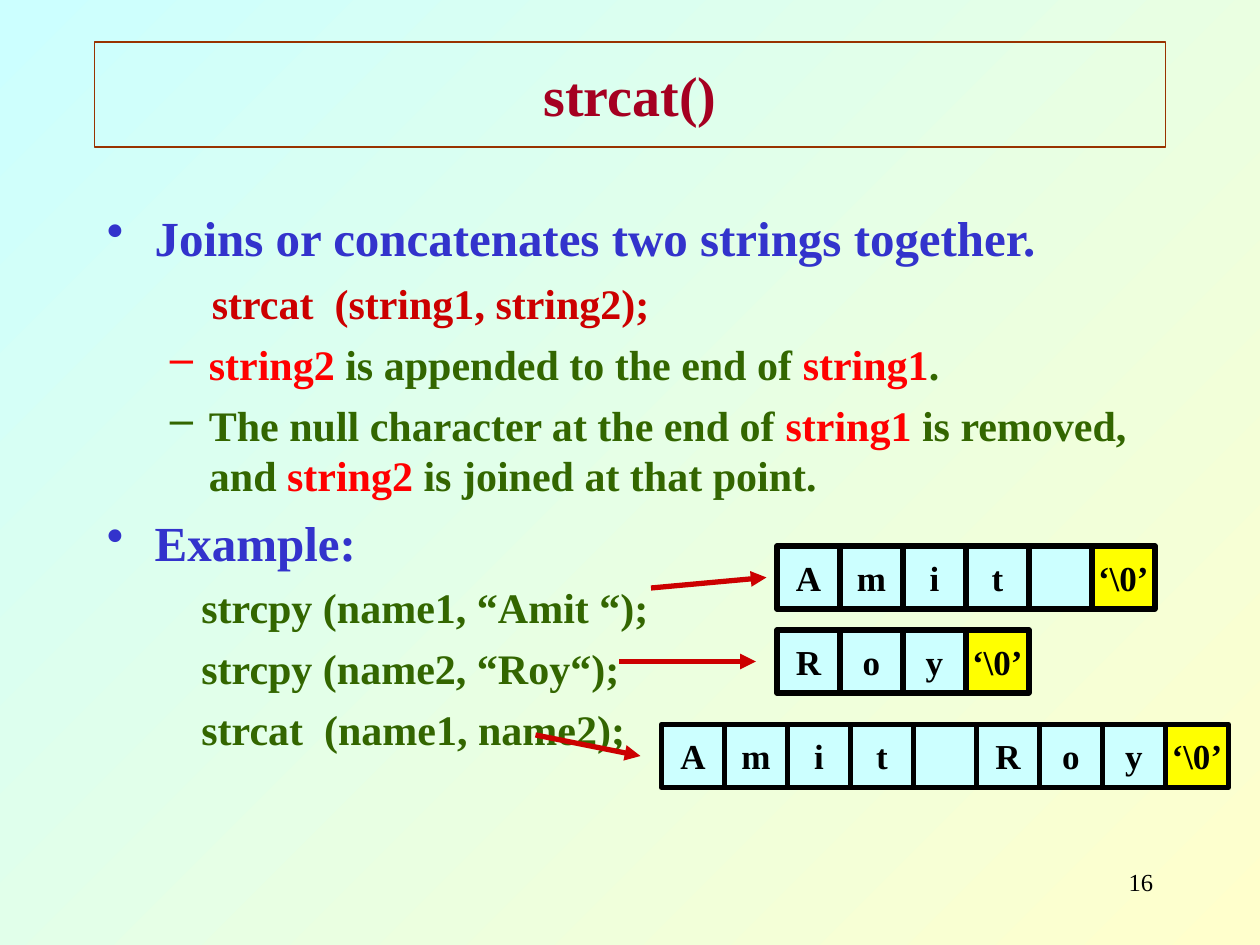
from dataclasses import dataclass

from lxml import etree
from pptx import Presentation
from pptx.dml.color import RGBColor
from pptx.enum.shapes import MSO_CONNECTOR, MSO_SHAPE
from pptx.enum.text import MSO_ANCHOR, PP_ALIGN
from pptx.oxml.ns import qn
from pptx.util import Inches, Pt

RECT = MSO_SHAPE.RECTANGLE
STRAIGHT = MSO_CONNECTOR.STRAIGHT
MIDDLE = MSO_ANCHOR.MIDDLE
CENTER, RIGHT = PP_ALIGN.CENTER, PP_ALIGN.RIGHT
TITLE_ONLY = 5
CELL = 6
NULL = "‘\\0’"


@dataclass(frozen=True)
class Theme:
    """Font, colours and type sizes of the slide."""
    font: str = "Times New Roman"
    title: str = "A50021"
    frame: str = "993300"
    heading: str = "3333CC"
    body: str = "336600"
    key: str = "FF0000"
    accent: str = "CC0000"
    ink: str = "000000"
    cell: str = "CCFFFF"
    null: str = "FFFF00"
    back: tuple = ("FFFFCC", "CCFFFF")
    title_size: int = 32
    heading_size: int = 28
    body_size: int = 24
    cell_size: int = 20
    number_size: int = 14


T = Theme()


def rgb(value):
    """Turn a hex string into a colour."""
    return RGBColor.from_string(value)


def grid(*units):
    """Convert grid units, 120 columns by 90 rows, to lengths."""
    return [Inches(u / 12) for u in units]


def style(font, size, color, bold=True):
    """Format one font."""
    font.name, font.size, font.bold = T.font, Pt(size), bold
    font.color.rgb = rgb(color)


def outline(shape, color, width):
    """Give a shape or connector a solid line."""
    shape.line.color.rgb = rgb(color)
    shape.line.width = Pt(width)


def set_indent(p, left, hanging, mark, color):
    """Set a hanging indent and, if there is a mark, its coloured bullet."""
    pPr = p._p.get_or_add_pPr()
    pPr.set("marL", str(Inches(left)))
    pPr.set("indent", str(-Inches(hanging)))
    if mark:
        clr = etree.SubElement(pPr, qn("a:buClr"))
        etree.SubElement(clr, qn("a:srgbClr")).set("val", color)
        etree.SubElement(pPr, qn("a:buChar")).set("char", mark)
    else:
        etree.SubElement(pPr, qn("a:buNone"))


def add_background(s):
    """Fill the slide with a diagonal gradient."""
    fill = s.background.fill
    fill.gradient()
    fill.gradient_angle = 135
    for stop, color, position in zip(fill.gradient_stops, T.back, (0, 1)):
        stop.color.rgb = rgb(color)
        stop.position = position


def add_title(s, box, text):
    """Place the framed title."""
    sp = s.shapes.title
    sp.left, sp.top, sp.width, sp.height = grid(*box)
    outline(sp, T.frame, 0.75)
    tf = sp.text_frame
    tf.text = text
    tf.vertical_anchor = MIDDLE
    p = tf.paragraphs[0]
    p.alignment = CENTER
    style(p.runs[0].font, T.title_size, T.title)


def add_body(s, box, lines):
    """Write the outline from (mark, runs) pairs of (text, colour) runs."""
    tf = s.shapes.add_textbox(*grid(*box)).text_frame
    tf.word_wrap = True
    for i, (mark, runs) in enumerate(lines):
        p = tf.add_paragraph() if i else tf.paragraphs[0]
        top = mark == "•"
        p.level = 0 if top else 1
        left, hanging = (0.38, 0.38) if top else (0.81, 0.31)
        if i:
            p.space_before = Pt(7 if top else 6)
        set_indent(p, left, hanging, mark, runs[0][1])
        for text, color in runs:
            r = p.add_run()
            r.text = text
            style(r.font, T.heading_size if top else T.body_size, color)


def add_string(s, col, row, chars):
    """Draw a string as a group of character cells closed by the null cell."""
    group = s.shapes.add_group_shape()
    for i, char in enumerate([*chars, NULL]):
        sp = group.shapes.add_shape(RECT, *grid(col + i * CELL, row, CELL, CELL))
        sp.shadow.inherit = False
        sp.fill.solid()
        sp.fill.fore_color.rgb = rgb(T.null if char == NULL else T.cell)
        outline(sp, T.ink, 3)
        if char.strip():
            tf = sp.text_frame
            tf.text = char
            tf.word_wrap = False
            tf.vertical_anchor = MIDDLE
            p = tf.paragraphs[0]
            p.alignment = CENTER
            style(p.runs[0].font, T.cell_size, T.ink)


def add_arrow(s, ends):
    """Draw an arrow from a statement to its string."""
    line = s.shapes.add_connector(STRAIGHT, *grid(*ends))
    outline(line, T.accent, 3)
    etree.SubElement(line.line._get_or_add_ln(), qn("a:tailEnd")).set("type", "triangle")
    etree.SubElement(line._element.spPr, qn("a:effectLst"))


def add_number(s, box, text):
    """Write the slide number."""
    tf = s.shapes.add_textbox(*grid(*box)).text_frame
    tf.word_wrap = True
    tf.text = text
    p = tf.paragraphs[0]
    p.alignment = RIGHT
    style(p.runs[0].font, T.number_size, T.ink, bold=False)


def main():
    """Build the slide and save it."""
    prs = Presentation()
    prs.slide_width, prs.slide_height = Inches(10), Inches(7.5)
    s = prs.slides.add_slide(prs.slide_layouts[TITLE_ONLY])
    add_background(s)
    add_title(s, (9, 4, 102, 10), "strcat()")
    add_body(s, (9, 19.2, 102, 60.8), [
        ("•", [("Joins or concatenates two strings together.", T.heading)]),
        ("", [("    strcat  (string1, string2);", T.accent)]),
        ("–", [("string2", T.key), (" is appended to the end of ", T.body),
               ("string1", T.key), (".", T.body)]),
        ("–", [("The null character at the end of ", T.body), ("string1", T.key),
               (" is removed, and ", T.body), ("string2", T.key),
               (" is joined at that point.", T.body)]),
        ("•", [("Example:", T.heading)]),
        ("", [("   strcpy (name1, “Amit “);", T.body)]),
        ("", [("   strcpy (name2, “Roy“);", T.body)]),
        ("", [("   strcat  (name1, name2);", T.body)]),
    ])
    for col, row, chars, ends in (
        (74, 52, "Amit ", (62, 56, 73, 55)),
        (74, 60, "Roy", (59, 63, 72, 63)),
        (63, 69, "Amit Roy", (51, 70, 61, 72)),
    ):
        add_string(s, col, row, chars)
        add_arrow(s, ends)
    add_number(s, (86, 82, 25, 6), "16")
    prs.save("out.pptx")


if __name__ == "__main__":
    main()
